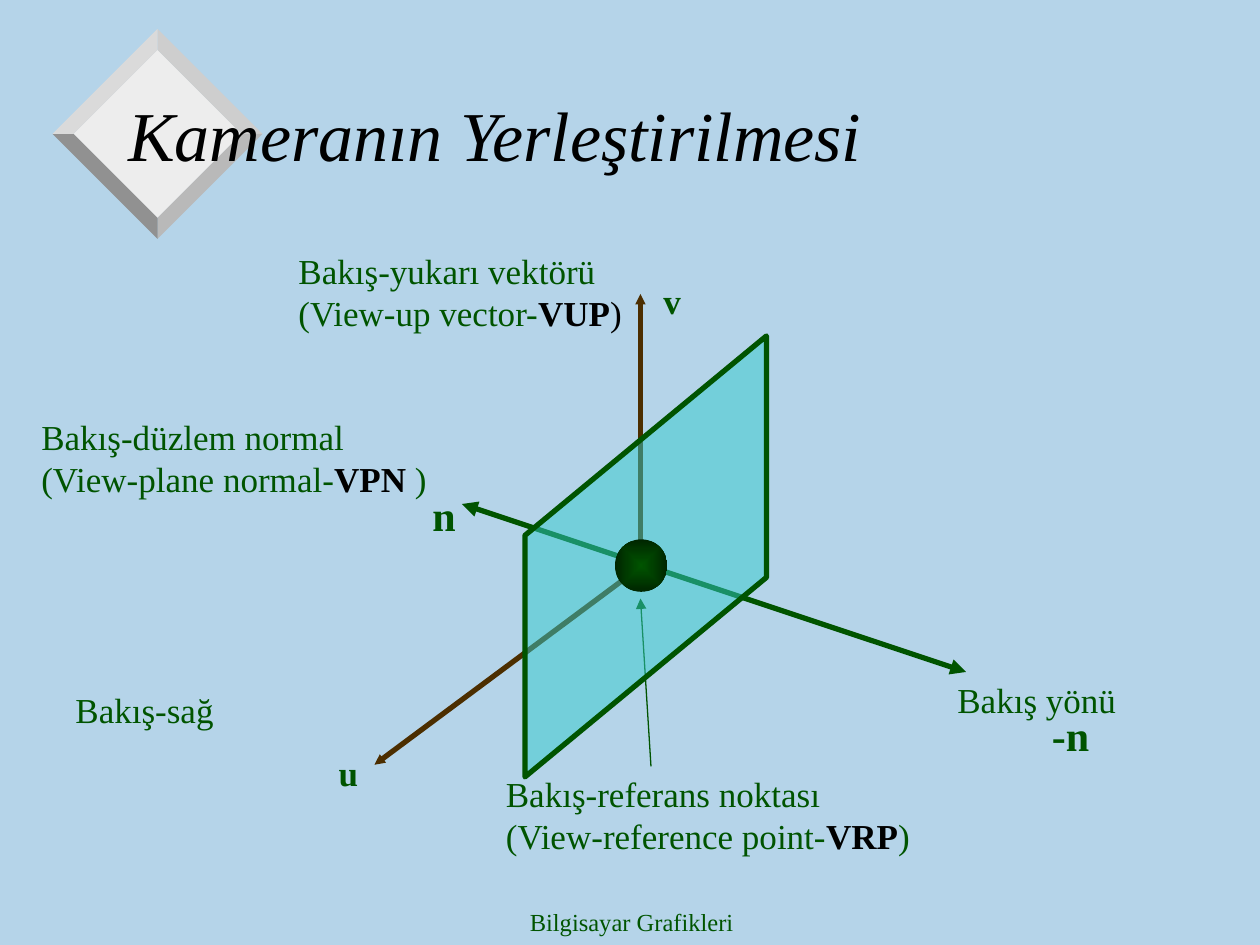
from dataclasses import dataclass

from lxml.etree import SubElement
from pptx import Presentation
from pptx.dml.color import RGBColor
from pptx.enum.shapes import MSO_CONNECTOR, MSO_SHAPE
from pptx.enum.text import MSO_ANCHOR, MSO_AUTO_SIZE, PP_ALIGN
from pptx.oxml import parse_xml
from pptx.oxml.ns import nsdecls, qn
from pptx.util import Pt


@dataclass(frozen=True)
class Theme:
    font: str = "Times New Roman"
    background: str = "B5D4E9"
    title: str = "000000"
    green: str = "005400"
    dark_green: str = "002600"
    brown: str = "4C2E00"
    plane: str = "33CCCC"
    diamond: str = "EDEDED"
    # Bevels clockwise from the upper right
    bevels: tuple = ("CECECE", "B9B9B9", "919191", "DADADA")
    title_size: int = 40
    big_letter_size: int = 24
    label_size: int = 20
    footer_size: int = 14
    axis_width: float = 3
    pointer_width: float = 0.75


@dataclass(frozen=True)
class Box:
    left: float
    top: float
    width: float
    height: float

    def inner(self, x, y, width, height):
        return Box(self.left + x, self.top + y, width, height)

    def lengths(self):
        return Pt(self.left), Pt(self.top), Pt(self.width), Pt(self.height)


THEME = Theme()


def rgb(color):
    return RGBColor.from_string(color)


def add_run(paragraph, text, size, color=THEME.green, bold=False, italic=False):
    run = paragraph.add_run()
    run.text = text
    font = run.font
    font.name, font.size, font.bold, font.italic = THEME.font, Pt(size), bold, italic
    font.color.rgb = rgb(color)


def add_label(slide, box, paragraphs, size=THEME.label_size, align=PP_ALIGN.LEFT, wrap=True):
    """Each paragraph is a list of (text, color, bold) runs."""
    frame = slide.shapes.add_textbox(*box.lengths()).text_frame
    frame.word_wrap = wrap
    for index, runs in enumerate(paragraphs):
        paragraph = frame.add_paragraph() if index else frame.paragraphs[0]
        paragraph.alignment = align
        for text, color, bold in runs:
            add_run(paragraph, text, size, color, bold)


def add_polygon(slide, points, color):
    corners = [(Pt(x), Pt(y)) for x, y in points]
    builder = slide.shapes.build_freeform(*corners[0])
    builder.add_line_segments(corners[1:], close=True)
    polygon = builder.convert_to_shape()
    polygon.shadow.inherit = False
    polygon.fill.solid()
    polygon.fill.fore_color.rgb = rgb(color)
    polygon.line.fill.background()
    return polygon


def add_arrow(slide, start, end, color, width, head_size="med", both_ends=False):
    arrow = slide.shapes.add_connector(
        MSO_CONNECTOR.STRAIGHT, *(Pt(value) for value in (*start, *end)))
    arrow.line.color.rgb = rgb(color)
    arrow.line.width = Pt(width)
    line = arrow.line._get_or_add_ln()
    for tag in ("a:headEnd", "a:tailEnd") if both_ends else ("a:tailEnd",):
        SubElement(line, qn(tag), type="triangle", w=head_size, len=head_size)
    SubElement(arrow._element.spPr, qn("a:effectLst"))


def add_diamond(slide, box):
    middle_x, middle_y = box.left + box.width / 2, box.top + box.height / 2

    def corners(radius):
        return [(middle_x + dx * radius, middle_y + dy * radius)
                for dx, dy in ((0, -1), (1, 0), (0, 1), (-1, 0))]

    outer, inner = corners(box.width / 2), corners(box.width * 0.4)
    add_polygon(slide, inner, THEME.diamond)
    for side, color in enumerate(THEME.bevels):
        after = (side + 1) % 4
        add_polygon(slide, [inner[side], outer[side], outer[after], inner[after]], color)


def place_title(slide, box):
    title = slide.shapes.title
    title.left, title.top, title.width, title.height = box.lengths()
    frame = title.text_frame
    frame.auto_size = MSO_AUTO_SIZE.NONE
    frame.vertical_anchor = MSO_ANCHOR.MIDDLE
    paragraph = frame.paragraphs[0]
    paragraph.alignment = PP_ALIGN.LEFT
    add_run(paragraph, "Kameranın Yerleştirilmesi", THEME.title_size, THEME.title, italic=True)
    # Bring the title in front of the diamond
    slide.shapes._spTree.append(title._element)


def add_view_plane(slide, box):
    side = box.width  # the upright edges are as long as the plane is wide
    right, bottom = box.left + box.width, box.top + box.height
    plane = add_polygon(slide, [(box.left, bottom), (box.left, bottom - side),
                                (right, box.top), (right, box.top + side)], THEME.plane)
    plane.line.color.rgb = rgb(THEME.green)
    plane.line.width = Pt(THEME.axis_width)
    color = plane._element.spPr.find(qn("a:solidFill")).find(qn("a:srgbClr"))
    SubElement(color, qn("a:alpha"), val="50000")


def add_reference_point(slide, box):
    ball = slide.shapes.add_shape(MSO_SHAPE.OVAL, *box.lengths())
    ball.shadow.inherit = False
    ball.line.fill.background()
    ball._element.spPr.find(qn("a:prstGeom")).addnext(parse_xml(
        f'<a:gradFill {nsdecls("a")}><a:gsLst>'
        f'<a:gs pos="0"><a:srgbClr val="{THEME.green}"/></a:gs>'
        f'<a:gs pos="100000"><a:srgbClr val="{THEME.dark_green}"/></a:gs></a:gsLst>'
        '<a:path path="rect"><a:fillToRect l="50000" t="50000" r="50000" b="50000"/>'
        '</a:path></a:gradFill>'))


def add_camera_diagram(slide, box):
    def at(x, y):
        return box.left + x, box.top + y

    # Axes and pointer, then the plane and the point in front
    origin = at(350, 186)
    add_arrow(slide, origin, at(350, 30), THEME.brown, THEME.axis_width, "sm")
    add_arrow(slide, origin, at(198, 299), THEME.brown, THEME.axis_width, "sm")
    add_arrow(slide, at(356, 300), at(350, 204), THEME.green, THEME.pointer_width)
    add_arrow(slide, at(248, 150), at(536, 246), THEME.green, THEME.axis_width, both_ends=True)
    add_view_plane(slide, box.inner(284, 54, 138, 252))
    add_reference_point(slide, box.inner(335.4, 170.2, 30, 30))

    # Descriptions
    green, black = THEME.green, THEME.title
    descriptions = [
        ((266, 300, 270, 55), [[("Bakış-referans noktası", green, False)],
                               [("(View-reference point-", green, False),
                                ("VRP", black, True), (")", green, False)]]),
        ((524, 246, 138, 32), [[("Bakış yönü", green, False)]]),
        ((147.5, 1, 222, 55), [[("Bakış-yukarı vektörü (View-up vector-", green, False),
                                ("VUP", black, True), (")", black, False)]]),
        ((20, 252, 204, 32), [[("Bakış-sağ", green, False)]]),
        ((0.5, 96, 295, 55), [[("Bakış-düzlem normal", green, False)],
                              [("(View-plane normal-", green, False),
                               ("VPN", black, True), (" )", green, False)]]),
    ]
    for place, paragraphs in descriptions:
        add_label(slide, box.inner(*place), paragraphs)

    # Axis letters
    letters = [
        ("n", (224, 138, 30, 36), THEME.big_letter_size, True),
        ("-n", (578, 264, 48, 36), THEME.big_letter_size, True),
        ("u", (170.5, 288, 25, 32), THEME.label_size, False),
        ("v", (356, 18, 25, 32), THEME.label_size, False),
    ]
    for letter, place, size, wrap in letters:
        add_label(slide, box.inner(*place), [[(letter, green, True)]], size, wrap=wrap)


def add_footer(slide, box):
    add_label(slide, box, [[("Bilgisayar Grafikleri", THEME.green, False)]],
              THEME.footer_size, PP_ALIGN.CENTER)


def main():
    presentation = Presentation()
    presentation.slide_width, presentation.slide_height = Pt(720), Pt(540)
    slide = presentation.slides.add_slide(presentation.slide_layouts[5])
    slide.background.fill.solid()
    slide.background.fill.fore_color.rgb = rgb(THEME.background)
    add_diamond(slide, Box(30, 16.5, 120, 120))
    add_footer(slide, Box(247, 515, 228, 25))
    place_title(slide, Box(66, 33, 612, 87))
    add_camera_diagram(slide, Box(16, 138, 662, 355))
    presentation.save("out.pptx")


if __name__ == "__main__":
    main()
